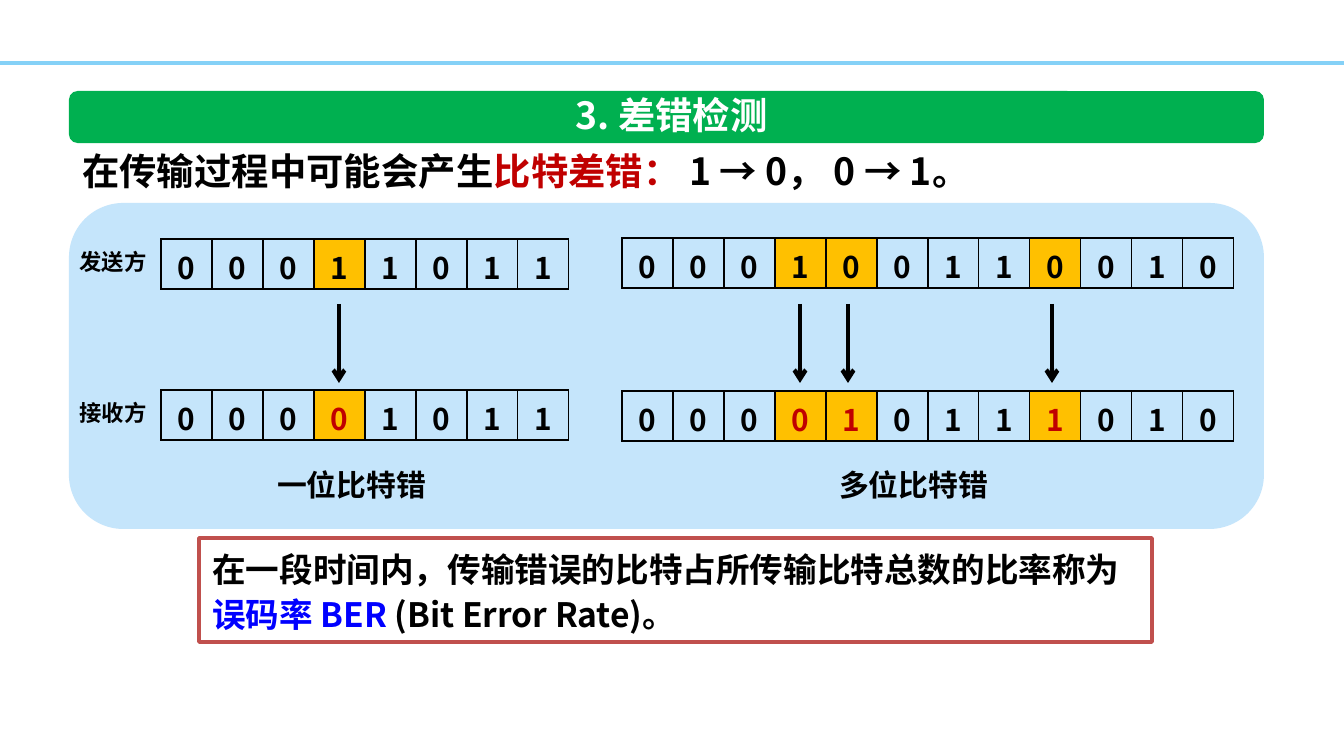
import pptx
import pptx.util
import pptx.dml.color
import pptx.enum.shapes
import pptx.enum.text
import pptx.oxml.ns
from lxml import etree

RGBColor = pptx.dml.color.RGBColor
Align = pptx.enum.text.PP_ALIGN
Anchor = pptx.enum.text.MSO_ANCHOR
Shape = pptx.enum.shapes.MSO_SHAPE
Pt = pptx.util.Pt
qn = pptx.oxml.ns.qn

BLACK = RGBColor(0x00, 0x00, 0x00)
WHITE = RGBColor(0xFF, 0xFF, 0xFF)
RED = RGBColor(0xC0, 0x00, 0x00)
BLUE = RGBColor(0x00, 0x00, 0xFF)
GREEN = RGBColor(0x00, 0xB0, 0x50)
ORANGE = RGBColor(0xFF, 0xC0, 0x00)
PALE_BLUE = RGBColor(0xC5, 0xE5, 0xFB)
SKY_BLUE = RGBColor(0x85, 0xD1, 0xF7)
BRICK = RGBColor(0xC0, 0x50, 0x4D)

FONT = "Noto Sans CJK SC"
PX_PER_INCH = 134.4
CELL_WIDTH, CELL_HEIGHT = 51, 50


def px(length):
    return pptx.util.Emu(round(length * 914400 / PX_PER_INCH))


def box(*lengths):
    return [px(length) for length in lengths]


def write_text(paragraph, parts, size, align=Align.LEFT):
    """Fill a paragraph with (text, colour) parts in the bold slide font."""
    paragraph.alignment = align
    font = paragraph.font
    font.size = Pt(size)
    font.bold = True
    font.name = FONT
    east_asian = etree.SubElement(font._element, qn("a:ea"))
    east_asian.set("typeface", FONT)
    if len(parts) == 1:
        font.color.rgb = parts[0][1]
    for text, color in parts:
        run = paragraph.add_run()
        run.text = text
        if len(parts) > 1:
            run.font.color.rgb = color


def add_text(slide, bounds, parts, size, align=Align.LEFT, wrap=False):
    text_box = slide.shapes.add_textbox(*box(*bounds))
    text_box.text_frame.word_wrap = wrap
    write_text(text_box.text_frame.paragraphs[0], parts, size, align)


def add_panel(slide, kind, bounds, fill, line=None):
    shape = slide.shapes.add_shape(kind, *box(*bounds))
    shape.shadow.inherit = False
    shape.fill.solid()
    shape.fill.fore_color.rgb = fill
    if line is None:
        shape.line.fill.background()
    else:
        shape.line.color.rgb = line
        shape.line.width = Pt(2)
    return shape


def add_line(slide, start, end, color, width, arrow=False):
    connector = slide.shapes.add_connector(
        pptx.enum.shapes.MSO_CONNECTOR.STRAIGHT, *box(*start, *end))
    connector.line.color.rgb = color
    connector.line.width = Pt(width)
    if arrow:
        tail = etree.SubElement(connector.line._get_or_add_ln(), qn("a:tailEnd"))
        tail.set("type", "arrow")
    etree.SubElement(connector._element.spPr, qn("a:effectLst"))


def add_borders(cell):
    properties = cell._tc.get_or_add_tcPr()
    for index, side in enumerate(("lnL", "lnR", "lnT", "lnB")):
        line = etree.Element(qn("a:" + side), w=str(Pt(1)))
        fill = etree.SubElement(line, qn("a:solidFill"))
        etree.SubElement(fill, qn("a:srgbClr"), val=str(BLACK))
        properties.insert(index, line)


def add_bits(slide, left, top, bits, marked, marked_color):
    """Draw a bit string as a one-row table with the marked bits highlighted."""
    frame = slide.shapes.add_table(
        1, len(bits), *box(left, top, CELL_WIDTH * len(bits), CELL_HEIGHT))
    table = frame.table
    table.first_row = False
    table.horz_banding = False
    for column, bit in enumerate(bits):
        table.columns[column].width = px(CELL_WIDTH)
        cell = table.cell(0, column)
        cell.margin_left = cell.margin_right = cell.margin_bottom = 0
        cell.margin_top = px(6)
        cell.vertical_anchor = Anchor.MIDDLE
        if column in marked:
            cell.fill.solid()
            cell.fill.fore_color.rgb = ORANGE
        else:
            cell.fill.background()
        add_borders(cell)
        color = marked_color if column in marked else BLACK
        write_text(cell.text_frame.paragraphs[0], [(bit, color)], 16, Align.CENTER)


def main():
    presentation = pptx.Presentation()
    presentation.slide_width = px(1344)
    presentation.slide_height = px(756)
    slide = presentation.slides.add_slide(presentation.slide_layouts[6])

    # Header rule, panel and title bar
    add_line(slide, (0, 63), (1344, 63), SKY_BLUE, 2)
    add_panel(slide, Shape.ROUNDED_RECTANGLE, (69, 203, 1195, 326), PALE_BLUE)
    add_panel(slide, Shape.ROUNDED_RECTANGLE, (69, 91, 1195, 52), GREEN)
    add_text(slide, (554, 86, 235, 59), [("3. 差错检测", WHITE)], 20, Align.CENTER)

    # Introduction
    add_text(slide, (69, 142, 1195, 59), [
        ("在传输过程中可能会产生", BLACK),
        ("比特差错：", RED),
        (" 1 → 0， 0 → 1。", BLACK),
    ], 20, wrap=True)

    # Sent and received bits: left, tops, bit strings, error columns
    for left, tops, sent, received, errors in (
        (161, (239, 390), "00011011", "00001011", (3,)),
        (622, (238, 391), "000100110010", "000010111010", (3, 4, 8)),
    ):
        add_bits(slide, left, tops[0], sent, errors, BLACK)
        add_bits(slide, left, tops[1], received, errors, RED)

    # Error arrows
    for x in (339, 800, 848, 1052):
        add_line(slide, (x, 304), (x, 383), BLACK, 2.25, arrow=True)

    # Row labels and captions
    for top, label in ((242, "发送方"), (393, "接收方")):
        add_text(slide, (65, top, 95, 40), [(label, BLACK)], 12, Align.RIGHT)
    for left, caption in ((263, "一位比特错"), (825, "多位比特错")):
        add_text(slide, (left, 460, 177, 50), [(caption, BLACK)], 16, Align.CENTER)

    # Definition of the bit error rate
    definition = add_panel(slide, Shape.RECTANGLE, (199, 538, 953, 104), WHITE, BRICK)
    definition.text_frame.word_wrap = True
    definition.text_frame.vertical_anchor = Anchor.TOP
    paragraph = definition.text_frame.paragraphs[0]
    paragraph.line_spacing = Pt(24)
    write_text(paragraph, [
        ("在一段时间内，传输错误的比特占所传输比特总数的比率称为", BLACK),
        ("误码率 BER ", BLUE),
        ("(Bit Error Rate)。", BLACK),
    ], 18)

    presentation.save("out.pptx")


if __name__ == "__main__":
    main()
